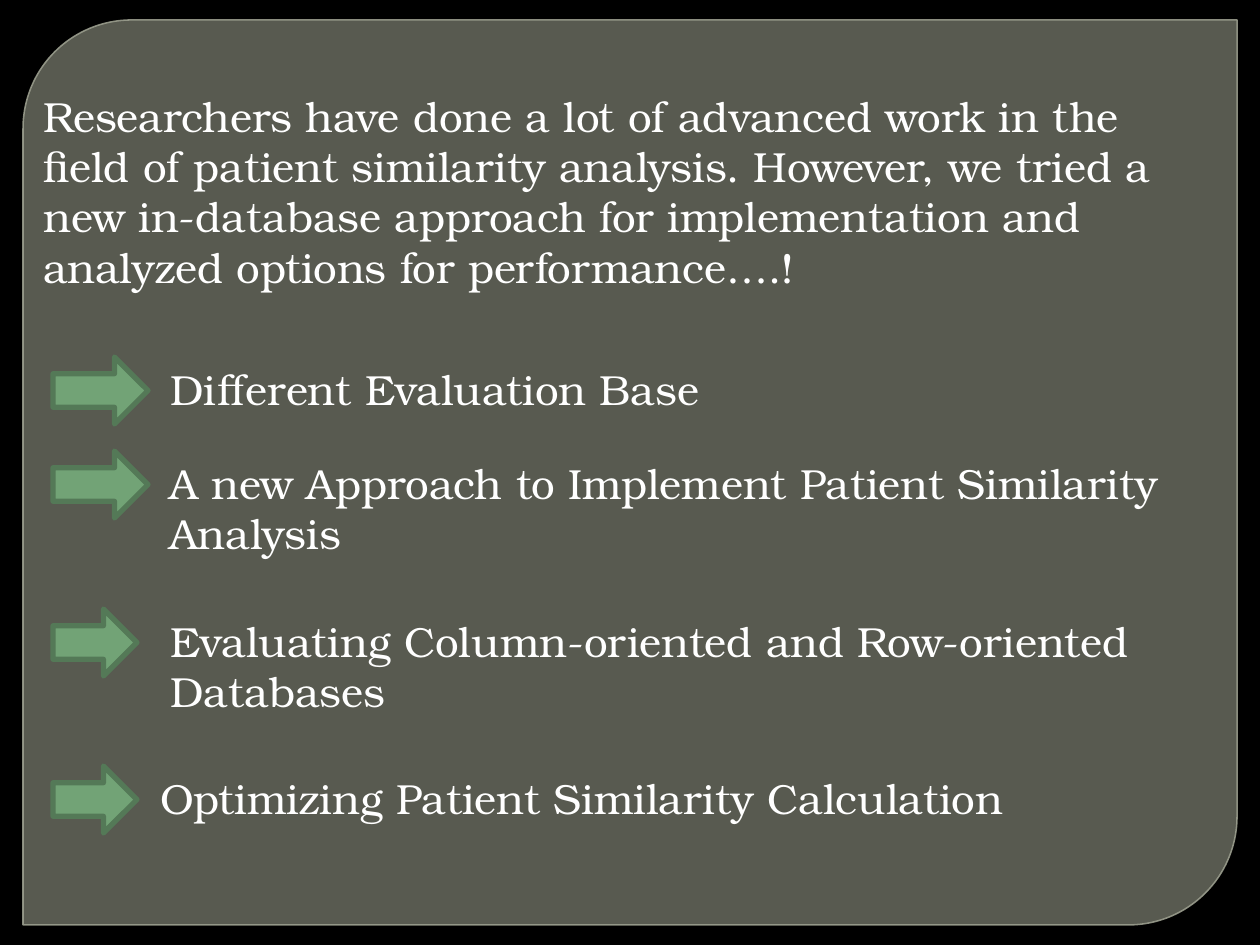
import pptx
import pptx.dml.color
import pptx.enum.shapes
import pptx.oxml.ns
import pptx.util
from lxml import etree

# Content
INTRO = ("Researchers have done a lot of advanced work in the field of patient "
         "similarity analysis. However, we tried a new in-database approach for "
         "implementation and analyzed options for performance….!")
# text, top, text left, text width, text height, arrow width (px)
POINTS = [
    ("Different Evaluation Base", 357, 158, 955, 63, 95),
    ("A new Approach to Implement Patient Similarity Analysis", 451, 157, 1040, 115, 95),
    ("Evaluating Column-oriented and Row-oriented Databases", 609, 158, 1071, 115, 84),
    ("Optimizing Patient Similarity Calculation", 766, 148, 1081, 63, 84),
]

# Style
FONT = "TeX Gyre Bonum"
BLACK = pptx.dml.color.RGBColor(0x00, 0x00, 0x00)
WHITE = pptx.dml.color.RGBColor(0xFF, 0xFF, 0xFF)
PANEL_FILL = pptx.dml.color.RGBColor(0x88, 0x8B, 0x7B)
PANEL_LINE = pptx.dml.color.RGBColor(0x9D, 0xA0, 0x90)
ARROW_FILL = pptx.dml.color.RGBColor(0x72, 0xA3, 0x76)
ARROW_LINE = pptx.dml.color.RGBColor(0x54, 0x79, 0x57)
ARROW_LEFT, ARROW_HEIGHT = 53, 67
SHAPES = pptx.enum.shapes.MSO_SHAPE


def px(length):
    return pptx.util.Emu(round(length * 914400 / 126))


def add_text(page, text, left, top, width, height, size=24, color=WHITE):
    box = page.shapes.add_textbox(px(left), px(top), px(width), px(height))
    box.text_frame.word_wrap = True
    span = box.text_frame.paragraphs[0].add_run()
    span.text = text
    span.font.name = FONT
    span.font.size = pptx.util.Pt(size)
    span.font.color.rgb = color


def add_block(page, kind, left, top, width, height, fill, line, weight):
    block = page.shapes.add_shape(kind, px(left), px(top), px(width), px(height))
    block.shadow.inherit = False
    block.fill.solid()
    block.fill.fore_color.rgb = fill
    block.line.color.rgb = line
    block.line.width = pptx.util.Pt(weight)
    return block


def set_opacity(block, fill_percent, line_percent):
    colors = block.element.spPr.iter(pptx.oxml.ns.qn("a:srgbClr"))
    for color, percent in zip(list(colors), (fill_percent, line_percent)):
        etree.SubElement(color, pptx.oxml.ns.qn("a:alpha"), val=str(percent * 1000))


def main():
    deck = pptx.Presentation()
    deck.slide_width, deck.slide_height = px(1260), px(945)
    page = deck.slides.add_slide(deck.slide_layouts[6])
    page.background.fill.solid()
    page.background.fill.fore_color.rgb = BLACK

    # Panel with two rounded corners
    panel = add_block(page, SHAPES.ROUND_2_DIAG_RECTANGLE, 23, 20, 1214, 905,
                      PANEL_FILL, PANEL_LINE, 0.87)
    panel.adjustments[0] = 0.12
    panel.adjustments[1] = 0
    set_opacity(panel, 65, 88)

    # Introduction
    add_text(page, INTRO, 31, 84, 1197, 217)

    # Points, each with its arrow
    for text, top, left, width, height, arrow_width in POINTS:
        add_text(page, text, left, top, width, height)
        add_block(page, SHAPES.RIGHT_ARROW, ARROW_LEFT, top, arrow_width, ARROW_HEIGHT,
                  ARROW_FILL, ARROW_LINE, 3)

    deck.save("out.pptx")


if __name__ == "__main__":
    main()
